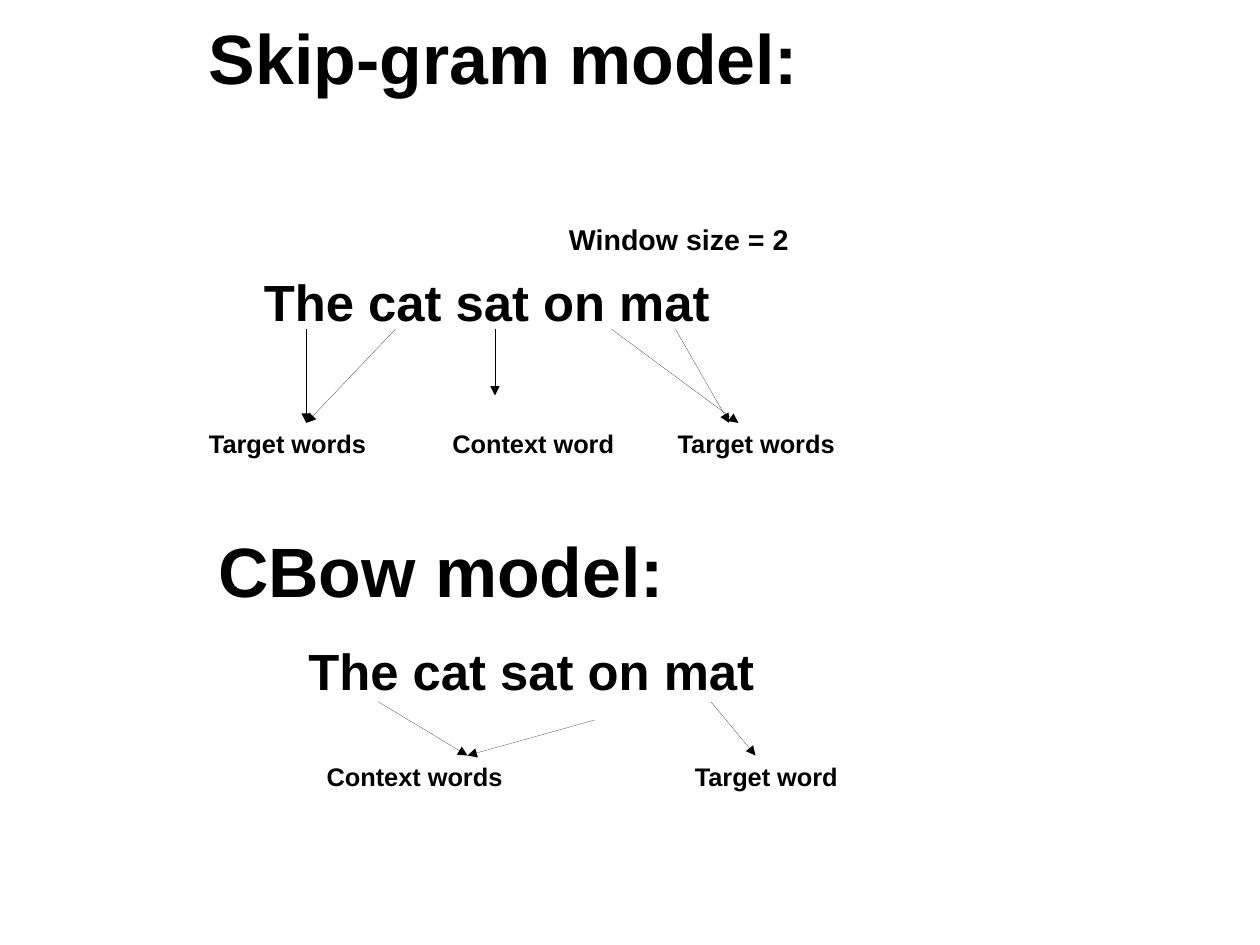
from dataclasses import dataclass

from lxml.etree import SubElement as add_element
from pptx import Presentation
from pptx.dml.color import RGBColor
from pptx.enum.shapes import MSO_CONNECTOR as Connector
from pptx.enum.text import MSO_ANCHOR as Anchor
from pptx.oxml.ns import qn
from pptx.util import Inches, Pt

CM_PER_INCH = 2.54


@dataclass(frozen=True)
class Theme:
    font: str = "Arial"
    ink: RGBColor = RGBColor(0, 0, 0)
    heading: int = 44
    sentence: int = 32
    note: int = 18
    label: int = 16


def write_text(frame, text, *, font, size, color, bold=True):
    run = frame.paragraphs[0].add_run()
    run.text = text
    run.font.name = font
    run.font.size = Pt(size)
    run.font.color.rgb = color
    run.font.bold = bold


class ModelSlide:
    def __init__(self, slide, theme):
        self.slide = slide
        self.theme = theme

    def text(self, text, left, top, width, height, size):
        box = self.slide.shapes.add_textbox(
            Inches(left), Inches(top), Inches(width), Inches(height))
        frame = box.text_frame
        frame.word_wrap = True
        frame.vertical_anchor = Anchor.TOP
        write_text(frame, text, font=self.theme.font, size=size,
                   color=self.theme.ink)

    def arrow(self, start, end):
        connector = self.slide.shapes.add_connector(
            Connector.STRAIGHT, *(Inches(value) for value in (*start, *end)))
        connector.line.color.rgb = self.theme.ink
        # Hairline: no theme style and no explicit width
        element = connector._element
        element.remove(element.find(qn("p:style")))
        properties = element.spPr
        add_element(properties.find(qn("a:ln")), qn("a:tailEnd"), type="triangle")
        add_element(properties, qn("a:effectLst"))


def main():
    # Page of 28 by 21 cm
    presentation = Presentation()
    presentation.slide_width = Inches(28 / CM_PER_INCH)
    presentation.slide_height = Inches(21 / CM_PER_INCH)
    theme = Theme()
    page = ModelSlide(
        presentation.slides.add_slide(presentation.slide_layouts[6]), theme)
    sentence = "The cat sat on mat"

    # Skip-gram model
    page.text("Skip-gram model:", 1.73, 0.08, 7.87, 1.96, theme.heading)
    page.text("Window size = 2", 4.88, 1.89, 3.46, 0.38, theme.note)
    page.text(sentence, 2.21, 2.32, 4.17, 0.59, theme.sentence)
    word_bottom, label_top = 2.88, 3.7
    for text, left, width, height in (
        ("Target words", 1.73, 2.05, 0.39),
        ("Context word", 3.86, 1.73, 0.34),
        ("Target words", 5.83, 2.05, 0.39),
    ):
        page.text(text, left, label_top, width, height, theme.label)
    for word_x, label_x in ((2.68, 2.68), (3.46, 2.68), (5.35, 6.46), (5.91, 6.38)):
        page.arrow((word_x, word_bottom), (label_x, label_top))
    page.arrow((4.33, word_bottom), (4.33, 3.46))

    # CBow model
    page.text("CBow model:", 1.81, 4.57, 5.36, 0.78, theme.heading)
    page.text(sentence, 2.6, 5.55, 4.17, 0.59, theme.sentence)
    label_top = 6.61
    for text, left, width in (("Context words", 2.76, 2.83),
                              ("Target word", 5.98, 1.49)):
        page.text(text, left, label_top, width, 0.34, theme.label)
    for start, label_x in (((3.31, 6.14), 4.09), ((5.2, 6.3), 4.09),
                           ((6.22, 6.14), 6.61)):
        page.arrow(start, (label_x, label_top))

    presentation.save("out.pptx")


if __name__ == "__main__":
    main()
